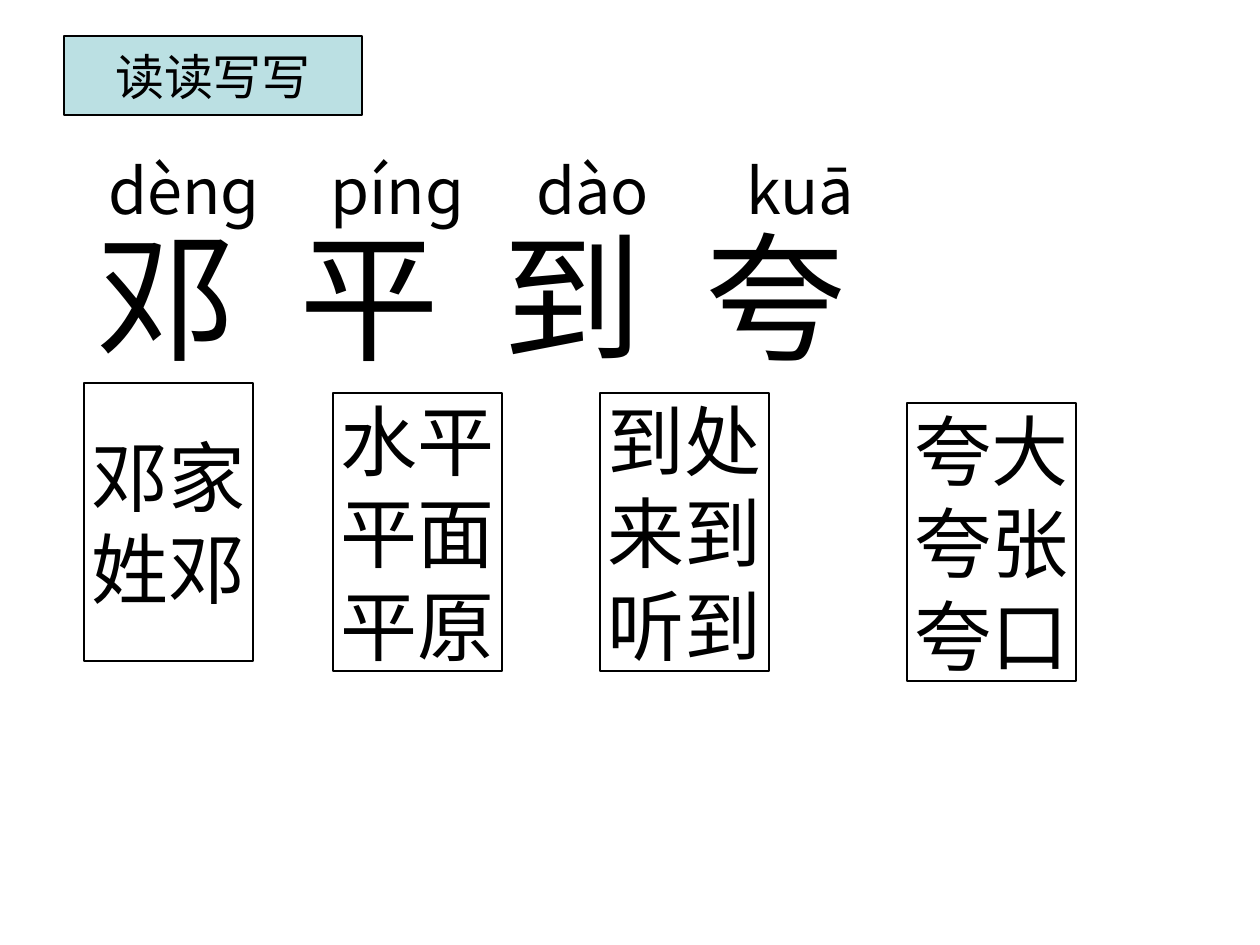
from lxml import etree
from pptx import Presentation
from pptx.dml.color import RGBColor
from pptx.enum.shapes import MSO_SHAPE
from pptx.enum.text import MSO_ANCHOR, MSO_AUTO_SIZE, PP_ALIGN
from pptx.oxml.ns import qn
from pptx.util import Emu, Pt

RECT = MSO_SHAPE.RECTANGLE
MIDDLE, TOP = MSO_ANCHOR.MIDDLE, MSO_ANCHOR.TOP
CENTER, LEFT = PP_ALIGN.CENTER, PP_ALIGN.LEFT
NO_FIT = MSO_AUTO_SIZE.NONE
COLORS = {"ink": "000000", "title": "BBE0E3"}
CJK = "Noto Sans CJK SC"
HANZI = ["邓", "平", "到", "夸"]
PINYIN = ["dènɡ", "pínɡ", "dào", "kuā"]
PINYIN_STOPS = [12, 234, 440, 650]
HANZI_PITCH = 203
WORD_W, WORD_H = 169, 278
WORDS = [
    (84, 383, ["邓家", "姓邓"]),
    (333, 393, ["水平", "平面", "平原"]),
    (600, 393, ["到处", "来到", "听到"]),
    (907, 403, ["夸大", "夸张", "夸口"]),
]


def px(n):
    """Turn slide pixels into EMU."""
    return Emu(round(n * 914400 / 126))


def color(name):
    """Look up a named colour."""
    return RGBColor.from_string(COLORS[name])


def write(tf, lines, size, font, align, anchor, wrap, stops=()):
    """Fill a text frame with evenly formatted paragraphs."""
    tf.text = "\n".join(lines)
    tf.auto_size, tf.word_wrap, tf.vertical_anchor = NO_FIT, wrap, anchor
    for p in tf.paragraphs:
        p.alignment = align
        if stops:
            tabs = etree.SubElement(p._p.get_or_add_pPr(), qn("a:tabLst"))
            for stop in stops:
                etree.SubElement(tabs, qn("a:tab"), pos=str(px(stop)), algn="l")
        p.font.size, p.font.name = Pt(size), font
        p.font.color.rgb = color("ink")
        latin = p.font._element.find(qn("a:latin"))
        latin.addnext(etree.Element(qn("a:ea"), typeface=CJK))


def outline(s):
    """Give a box its thin border."""
    s.line.color.rgb = color("ink")
    s.line.width = Pt(0.75)


def add_title(slide, x, y, w, h):
    """Place the filled title box."""
    s = slide.shapes.title
    s.left, s.top, s.width, s.height = map(px, (x, y, w, h))
    s.fill.solid()
    s.fill.fore_color.rgb = color("title")
    outline(s)
    write(s.text_frame, ["读读写写"], 28, "Arial", CENTER, MIDDLE, False)


def add_row(slide, x, y, w, h, text, size, stops):
    """Place one line of entries set out on tab stops."""
    s = slide.shapes.add_textbox(*map(px, (x, y, w, h)))
    write(s.text_frame, [text], size, CJK, LEFT, TOP, True, stops)


def add_words(slide, x, y, w, h, words):
    """Place a bordered box of example words."""
    s = slide.shapes.add_shape(RECT, *map(px, (x, y, w, h)))
    s.shadow.inherit = False
    s.fill.background()
    outline(s)
    write(s.text_frame, words, 44, "Arial", CENTER, MIDDLE, False)


def main():
    """Build and save the slide."""
    prs = Presentation()
    prs.slide_width, prs.slide_height = px(1260), px(945)
    slide = prs.slides.add_slide(prs.slide_layouts[5])
    add_title(slide, 64, 36, 298, 79)
    hanzi_stops = [HANZI_PITCH * i for i in range(1, len(HANZI))]
    add_row(slide, 84, 204, 1072, 181, "\t".join(HANZI), 80, hanzi_stops)
    add_row(slide, 84, 145, 1131, 88, "\t" + "\t".join(PINYIN), 36, PINYIN_STOPS)
    for x, y, words in WORDS:
        add_words(slide, x, y, WORD_W, WORD_H, words)
    prs.save("out.pptx")


if __name__ == "__main__":
    main()
